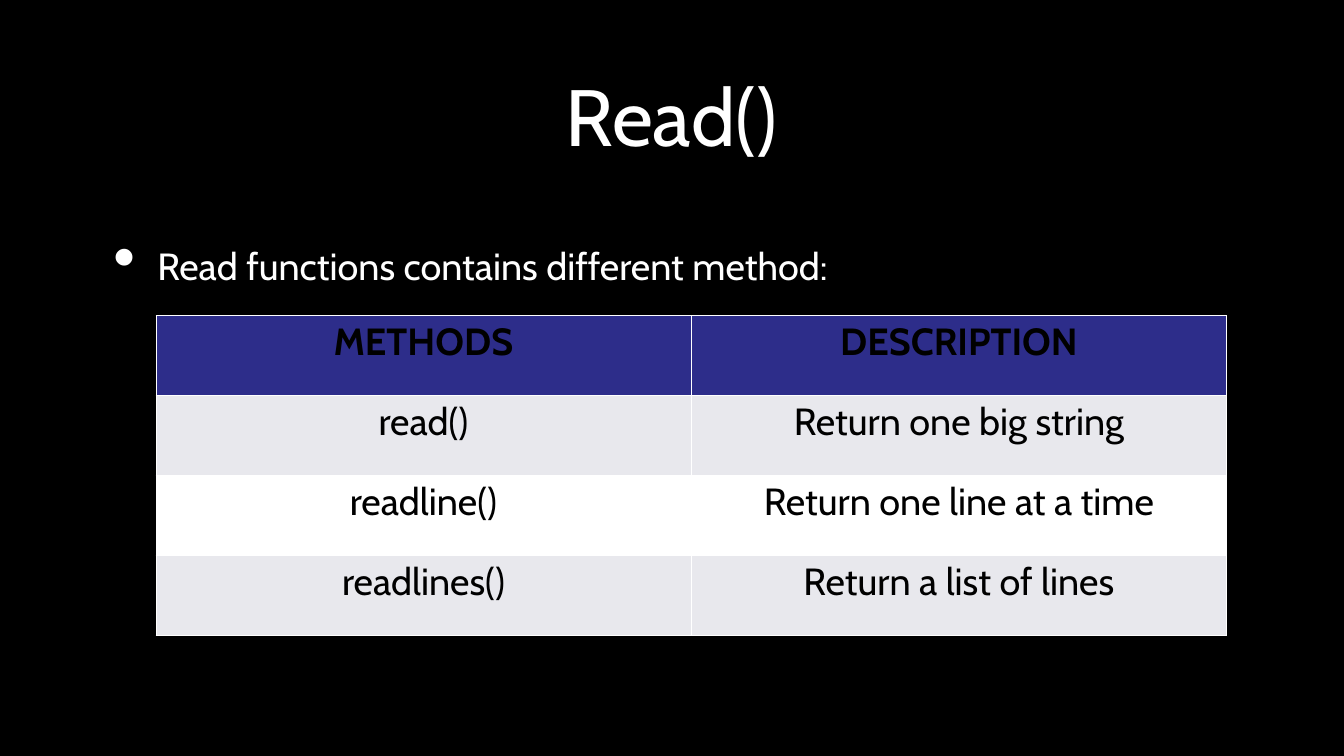
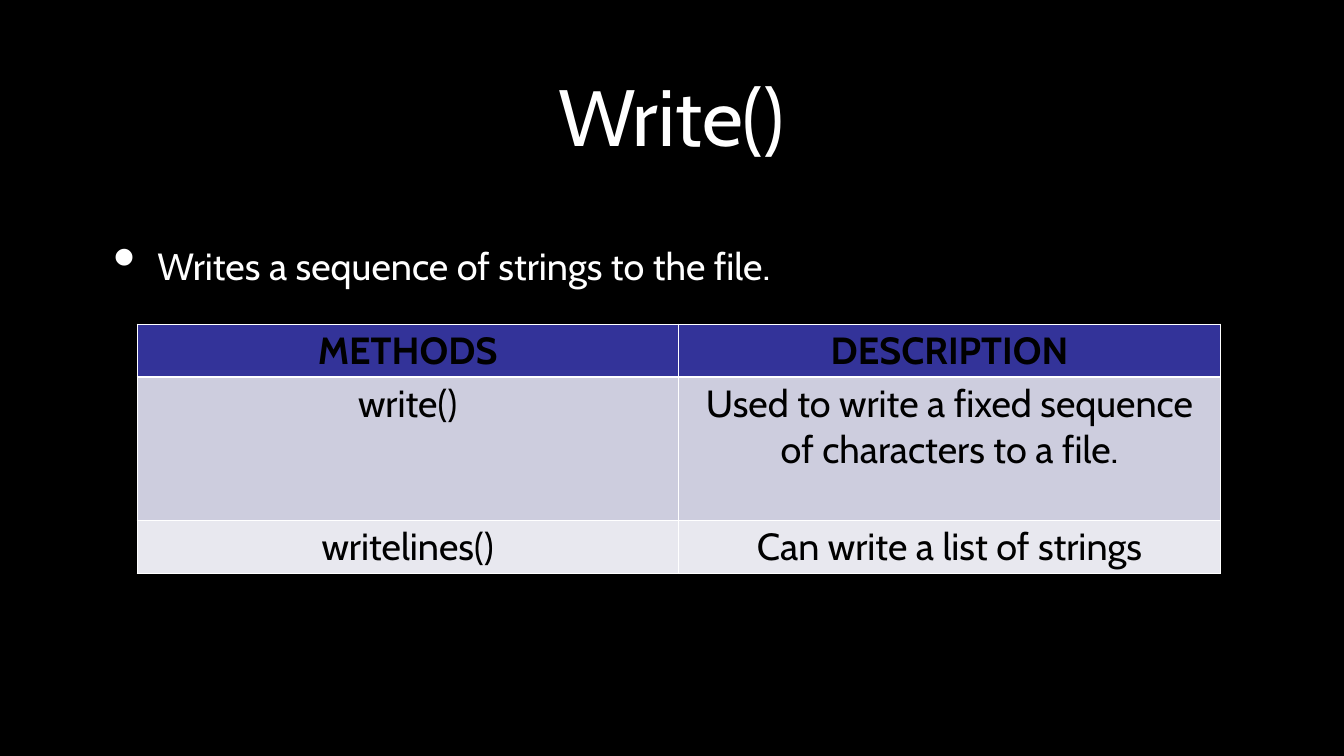
from dataclasses import dataclass

from lxml import etree
from pptx import Presentation
from pptx.dml.color import RGBColor
from pptx.enum.text import MSO_ANCHOR, PP_ALIGN
from pptx.oxml import parse_xml
from pptx.oxml.ns import nsdecls, qn
from pptx.util import Pt

CENTER = PP_ALIGN.CENTER
TOP = MSO_ANCHOR.TOP
MIDDLE = MSO_ANCHOR.MIDDLE

HEAD = ("METHODS", "DESCRIPTION")
PAGES = [
    dict(
        title="Read()",
        point="Read functions contains different method:",
        rows=[
            ("read()", "Return one big string"),
            ("readline()", "Return one line at a time"),
            ("readlines()", "Return a list of lines"),
        ],
        place=(148.3, 300.5),
        width=510,
        tall=[76, 76, 76, 76],
        fills=["2D2D8A", "E8E8ED", "FFFFFF", "E8E8ED"],
        rule=0.45,
    ),
    dict(
        title="Write()",
        point="Writes a sequence of strings to the file.",
        rows=[
            ("write()", "Used to write a fixed sequence of characters to a file."),
            ("writelines()", "Can write a list of strings"),
        ],
        place=(130.3, 308.5),
        width=516,
        tall=[50.4, 136.8, 50.4],
        fills=["333399", "CDCDDE", "E8E8EF"],
        rule=1.47,
    ),
]


@dataclass(frozen=True)
class Theme:
    font: str = "Cabin"
    back: str = "000000"
    light: str = "FFFFFF"
    dark: str = "000000"
    title: float = 76
    body: float = 36
    line: float = 0.45


THEME = Theme()
SIZE = (1280, 720)
TITLE = (90.7, 18.7, 1097.3, 180.7)
POINT = (90.7, 205.2, 1097.3, 449.3)
INSET = 2.9
DROP = 26
INDENT, HANG = 56.2, -41.8


def style(para, size, color, bold=False):
    for run in para.runs:
        font = run.font
        font.name = THEME.font
        font.size = Pt(size)
        font.bold = bold
        font.color.rgb = RGBColor.from_string(color)


def pad(frame, anchor, top=INSET):
    frame.word_wrap = True
    frame.vertical_anchor = anchor
    frame.margin_left = frame.margin_right = frame.margin_bottom = Pt(INSET)
    frame.margin_top = Pt(top)


def add_title(slide, text):
    shape = slide.shapes.title
    shape.left, shape.top, shape.width, shape.height = map(Pt, TITLE)
    pad(shape.text_frame, MIDDLE)
    shape.text_frame.text = text
    para = shape.text_frame.paragraphs[0]
    para.alignment = CENTER
    style(para, THEME.title, THEME.light)


def add_point(slide, text):
    frame = slide.shapes.add_textbox(*map(Pt, POINT)).text_frame
    pad(frame, TOP, DROP)
    frame.text = text
    para = frame.paragraphs[0]
    props = para._p.get_or_add_pPr()
    props.set("marL", str(Pt(INDENT)))
    props.set("indent", str(Pt(HANG)))
    color = etree.SubElement(props, qn("a:buClr"))
    etree.SubElement(color, qn("a:srgbClr"), val=THEME.light)
    etree.SubElement(props, qn("a:buSzPct"), val="171000")
    etree.SubElement(props, qn("a:buChar"), char="•")
    style(para, THEME.body, THEME.light)


def add_edge(cell, side, width):
    cell._tc.get_or_add_tcPr().append(parse_xml(
        f'<a:ln{side} {nsdecls("a")} w="{Pt(width)}"><a:solidFill>'
        f'<a:srgbClr val="{THEME.light}"/></a:solidFill></a:ln{side}>'
    ))


def add_grid(slide, page):
    rows = [HEAD] + page["rows"]
    size = (page["width"] * len(HEAD), sum(page["tall"]))
    box = map(Pt, page["place"] + size)
    table = slide.shapes.add_table(len(rows), len(HEAD), *box).table
    for col in table.columns:
        col.width = Pt(page["width"])
    for r, (texts, tall, fill) in enumerate(zip(rows, page["tall"], page["fills"])):
        table.rows[r].height = Pt(tall)
        edges = dict.fromkeys("LRTB", THEME.line)
        if r < 2:
            edges["BT"[r]] = page["rule"]
        for c, text in enumerate(texts):
            cell = table.cell(r, c)
            for side, width in edges.items():
                add_edge(cell, side, width)
            cell.fill.solid()
            cell.fill.fore_color.rgb = RGBColor.from_string(fill)
            cell.vertical_anchor = TOP
            cell.text_frame.text = text
            para = cell.text_frame.paragraphs[0]
            para.alignment = CENTER
            style(para, THEME.body, THEME.dark, r == 0)


def main():
    deck = Presentation()
    deck.slide_width, deck.slide_height = map(Pt, SIZE)
    back = deck.slide_master.background.fill
    back.solid()
    back.fore_color.rgb = RGBColor.from_string(THEME.back)
    for page in PAGES:
        slide = deck.slides.add_slide(deck.slide_layouts[5])
        add_title(slide, page["title"])
        add_point(slide, page["point"])
        add_grid(slide, page)
    deck.save("out.pptx")


if __name__ == "__main__":
    main()
